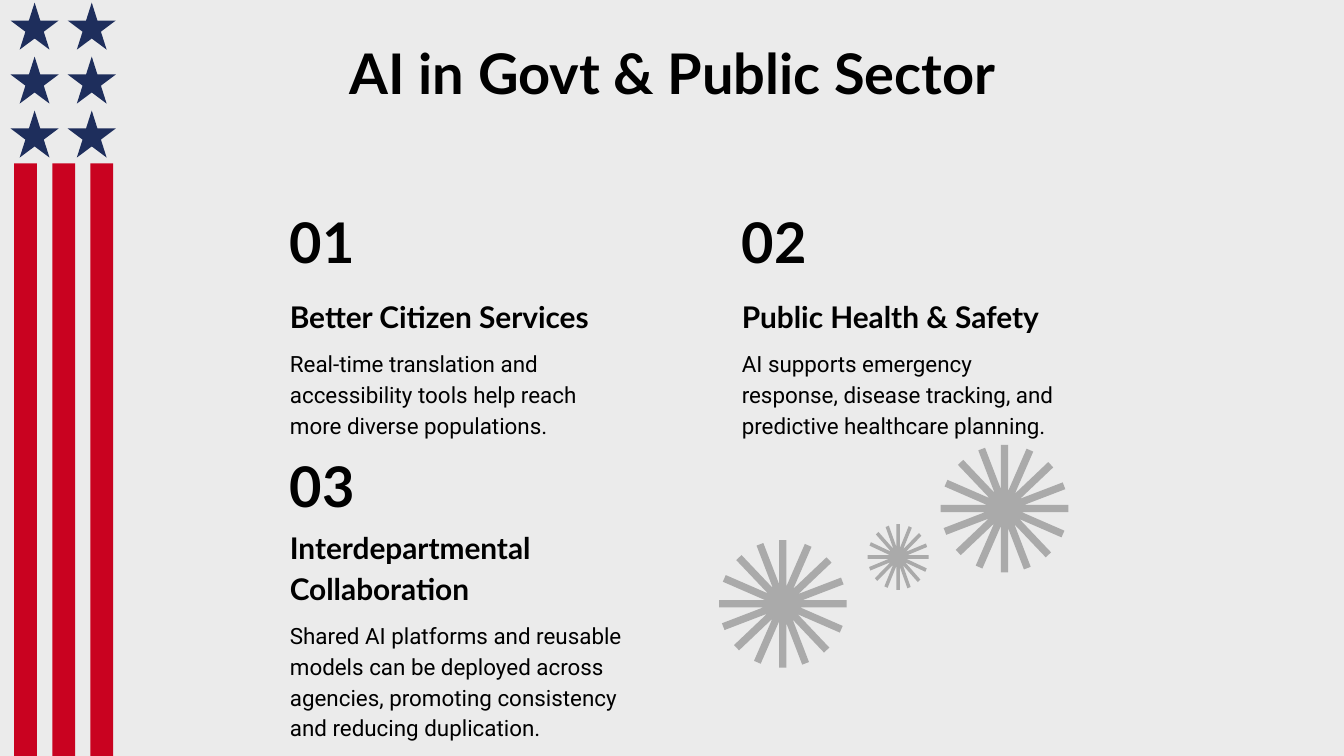
import math

import pptx
import pptx.dml.color
import pptx.enum.shapes
import pptx.enum.text
import pptx.util

Cm = pptx.util.Cm
SHAPES = pptx.enum.shapes.MSO_SHAPE
ANCHOR = pptx.enum.text.MSO_ANCHOR
ALIGN = pptx.enum.text.PP_ALIGN

PAGE_WIDTH, PAGE_HEIGHT = 25.4, 14.29
BACKGROUND, RED, NAVY, GRAY, BLACK = "EBEBEB", "C90220", "1E2E5C", "AAAAAA", "000000"

# Left, top, width, heading offset, number, heading, body (cm)
CARDS = [
    (5.23, 3.94, 6.4, 1.55, "01", "Better Citizen Services",
     "Real-time translation and accessibility tools help reach more diverse populations."),
    (13.77, 3.94, 6.4, 1.55, "02", "Public Health & Safety",
     "AI supports emergency response, disease tracking, and predictive healthcare planning."),
    (5.23, 8.56, 7.32, 2.06, "03", "Interdepartmental Collaboration",
     "Shared AI platforms and reusable models can be deployed across agencies, "
     "promoting consistency and reducing duplication."),
]

# Left, top, width, height (cm)
BURSTS = [(13.59, 10.21, 2.41, 2.41), (16.4, 9.91, 1.15, 1.24), (17.78, 8.41, 2.41, 2.41)]


def color(value):
    return pptx.dml.color.RGBColor.from_string(value)


def paint(shape, fill):
    shape.shadow.inherit = False
    shape.fill.solid()
    shape.fill.fore_color.rgb = color(fill)
    shape.line.fill.background()


def add_block(page, left, top, width, height, fill, kind):
    shape = page.shapes.add_shape(kind, Cm(left), Cm(top), Cm(width), Cm(height))
    paint(shape, fill)


def add_text(page, left, top, width, height, text, size, font="Lato", bold=True,
             anchor=ANCHOR.TOP, align=ALIGN.LEFT, spacing=1.0):
    box = page.shapes.add_textbox(Cm(left), Cm(top), Cm(width), Cm(height))
    frame = box.text_frame
    frame.word_wrap = True
    frame.vertical_anchor = anchor
    frame.margin_left = frame.margin_right = Cm(0.25)
    frame.margin_top = frame.margin_bottom = Cm(0.25)
    frame.text = text
    para = frame.paragraphs[0]
    para.alignment = align
    para.line_spacing = spacing
    span = para.runs[0]
    span.font.name = font
    span.font.size = pptx.util.Pt(size)
    span.font.bold = bold
    span.font.color.rgb = color(BLACK)


def add_flag(page, left, top, height):
    """Two columns of stars above three stripes."""
    for row in range(3):
        for column in range(2):
            add_block(page, left + column * 1.08, top + row * 1.02, 0.91, 0.89,
                      NAVY, SHAPES.STAR_5_POINT)
    stripe_top = top + 3.04
    for column in range(3):
        add_block(page, left + 0.07 + column * 0.72, stripe_top, 0.43,
                  height - 3.04, RED, SHAPES.RECTANGLE)


def add_card(page, left, top, width, heading_offset, number, heading, body):
    """A number, a heading and a short paragraph."""
    heading_top = top + heading_offset
    add_text(page, left, top, 2.03, 1.24, number, 30, anchor=ANCHOR.MIDDLE)
    add_text(page, left, heading_top, width, 1.09, heading, 16,
             anchor=ANCHOR.BOTTOM, spacing=1.15)
    add_text(page, left, heading_top + 0.81, width, 1.6, body, 12,
             font="Roboto", bold=False, spacing=1.15)


def add_burst(page, left, top, width, height):
    """Sixteen straight rays, joined where their edges meet."""
    half = 0.057  # half a ray's thickness, for a burst of radius 1
    angles = [math.radians(quarter * 90 + turn)
              for quarter in range(4) for turn in (0, 21, 43.5, 66.5)]
    points = []
    for angle, following in zip(angles, angles[1:] + [math.tau]):
        x, y = math.cos(angle), math.sin(angle)
        points += [(x + half * y, y - half * x), (x - half * y, y + half * x)]
        middle = (angle + following) / 2
        reach = half / math.sin((following - angle) / 2)
        points.append((reach * math.cos(middle), reach * math.sin(middle)))
    # The rays turn anticlockwise, so y is flipped
    corners = [(Cm(left + width / 2 * (1 + x)), Cm(top + height / 2 * (1 - y)))
               for x, y in points]
    builder = page.shapes.build_freeform(*corners[0])
    builder.add_line_segments(corners[1:], close=True)
    paint(builder.convert_to_shape(), GRAY)


def main():
    deck = pptx.Presentation()
    deck.slide_width, deck.slide_height = Cm(PAGE_WIDTH), Cm(PAGE_HEIGHT)
    page = deck.slides.add_slide(deck.slide_layouts[6])
    page.background.fill.solid()
    page.background.fill.fore_color.rgb = color(BACKGROUND)

    add_flag(page, 0.2, 0.05, PAGE_HEIGHT - 0.05)
    add_text(page, 2.01, 0.48, 21.41, 1.6, "AI in Govt & Public Sector", 30,
             align=ALIGN.CENTER)
    for card in CARDS:
        add_card(page, *card)
    for burst in BURSTS:
        add_burst(page, *burst)

    deck.save("out.pptx")


if __name__ == "__main__":
    main()
